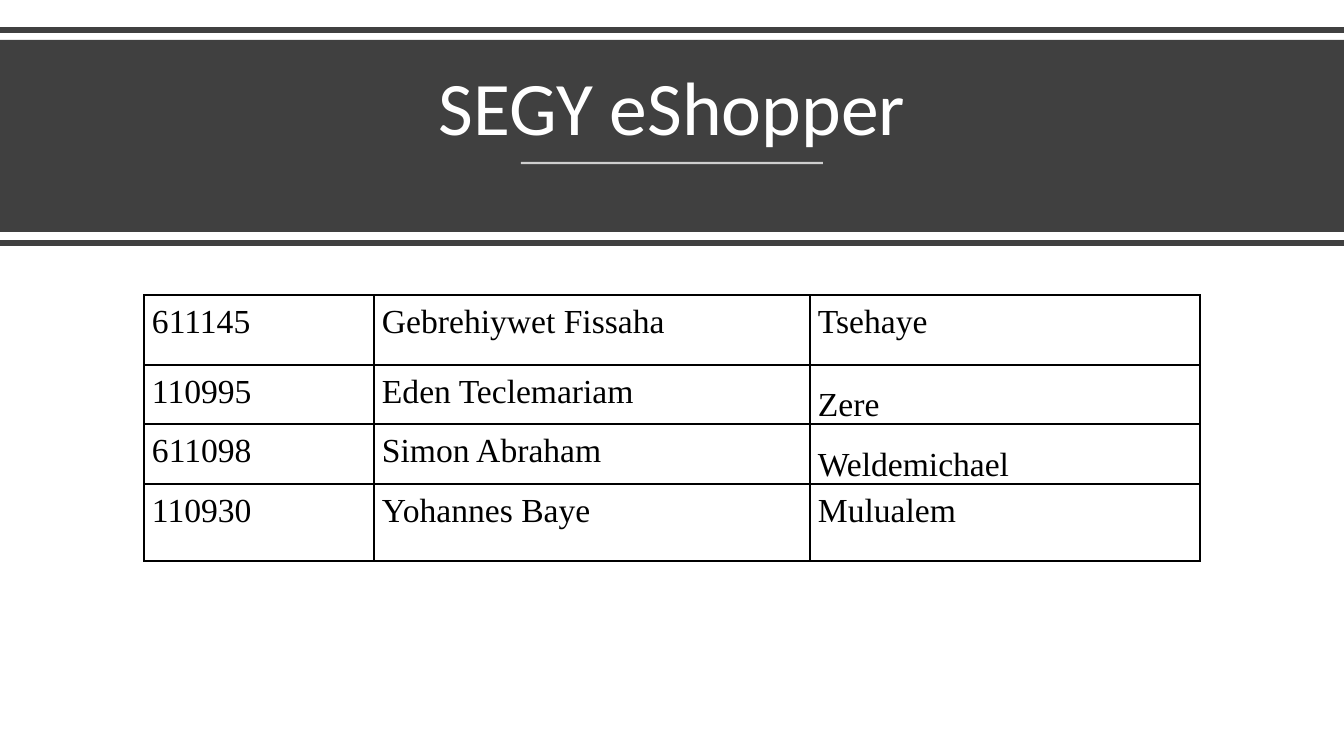
import pptx
import pptx.dml.color
import pptx.enum.shapes
import pptx.enum.text
import pptx.oxml.ns
import pptx.util
from lxml import etree

EMU_PER_PX = 914400 / 100.8
PAGE_WIDTH, PAGE_HEIGHT = 1344, 756
DARK, WHITE, BLACK = "404040", "FFFFFF", "000000"
ANCHOR = pptx.enum.text.MSO_ANCHOR

MEMBERS = [
    ("611145", "Gebrehiywet Fissaha", "Tsehaye"),
    ("110995", "Eden Teclemariam", "Zere"),
    ("611098", "Simon Abraham", "Weldemichael"),
    ("110930", "Yohannes Baye", "Mulualem"),
]
COLUMN_WIDTHS = [230, 436, 390]
ROW_HEIGHTS = [70, 59, 60, 77]
BOTTOM_CELLS = {(1, 2), (2, 2)}


def px(length):
    return pptx.util.Emu(round(length * EMU_PER_PX))


def color(code):
    return pptx.dml.color.RGBColor.from_string(code)


def add_xml(parent, tag, **attributes):
    return etree.SubElement(parent, pptx.oxml.ns.qn(tag), attributes)


def apply(target, values):
    for name, value in values.items():
        setattr(target, name, value)


def write(frame, text, spacing, size, font, code, align=None):
    para = frame.paragraphs[0]
    apply(para, {"line_spacing": spacing, "alignment": align})
    span = para.add_run()
    span.text = text
    apply(span.font, {"size": pptx.util.Pt(size), "name": font})
    span.font.color.rgb = color(code)


def add_rule(page, left, top, width, weight, code, opacity=100):
    """Draw a horizontal line; opacity is in percent."""
    rule = page.shapes.add_connector(
        pptx.enum.shapes.MSO_CONNECTOR.STRAIGHT,
        px(left), px(top), px(left + width), px(top))
    rule.line.width = pptx.util.Pt(weight)
    rule.line.color.rgb = color(code)
    properties = rule._element.spPr
    if opacity < 100:
        shade = properties.find(".//" + pptx.oxml.ns.qn("a:srgbClr"))
        add_xml(shade, "a:alpha", val=str(opacity * 1000))
    add_xml(properties, "a:effectLst")


def add_banner(page, left, top, width, height):
    """Draw the title band between two rules."""
    add_rule(page, left, top - 10, width, 4, DARK)
    band = page.shapes.add_shape(
        pptx.enum.shapes.MSO_SHAPE.RECTANGLE,
        px(left), px(top), px(width), px(height))
    band.shadow.inherit = False
    band.fill.solid()
    band.fill.fore_color.rgb = color(DARK)
    band.line.fill.background()

    title = page.shapes.add_textbox(
        px(left + 58), px(top + 14), px(width - 116), px(103))
    apply(title.text_frame, {"word_wrap": True, "vertical_anchor": ANCHOR.BOTTOM})
    write(title.text_frame, "SEGY eShopper", 0.9, 54, "Calibri", WHITE,
          pptx.enum.text.PP_ALIGN.CENTER)
    underline = 302
    add_rule(page, left + (width - underline) // 2, top + 123, underline, 1.5, WHITE, 75)
    add_rule(page, left, top + height + 11, width, 4, DARK)


def add_borders(cell):
    properties = cell._tc.get_or_add_tcPr()
    for side in "LRTB":
        border = add_xml(properties, f"a:ln{side}", w=str(pptx.util.Pt(1)))
        add_xml(add_xml(border, "a:solidFill"), "a:srgbClr", val=BLACK)


def add_members(page, left, top, width, height):
    table = page.shapes.add_table(
        len(MEMBERS), len(COLUMN_WIDTHS), px(left), px(top), px(width), px(height)).table
    apply(table, {"first_row": False, "horz_banding": False})
    for column, size in zip(table.columns, COLUMN_WIDTHS):
        column.width = px(size)
    for row, size in zip(table.rows, ROW_HEIGHTS):
        row.height = px(size)
    for row, member in enumerate(MEMBERS):
        for column, text in enumerate(member):
            cell = table.cell(row, column)
            low = (row, column) in BOTTOM_CELLS
            apply(cell, {
                "margin_left": px(8), "margin_right": px(8),
                "margin_top": px(3), "margin_bottom": px(0),
                "vertical_anchor": ANCHOR.BOTTOM if low else ANCHOR.TOP,
            })
            add_borders(cell)
            cell.fill.background()
            write(cell.text_frame, text, 1.15, 24, "Times New Roman", BLACK)


def main():
    deck = pptx.Presentation()
    apply(deck, {"slide_width": px(PAGE_WIDTH), "slide_height": px(PAGE_HEIGHT)})
    page = deck.slides.add_slide(deck.slide_layouts[6])
    add_banner(page, 0, 40, PAGE_WIDTH, 192)
    add_members(page, 144, 295, sum(COLUMN_WIDTHS), sum(ROW_HEIGHTS))
    deck.save("out.pptx")


if __name__ == "__main__":
    main()
